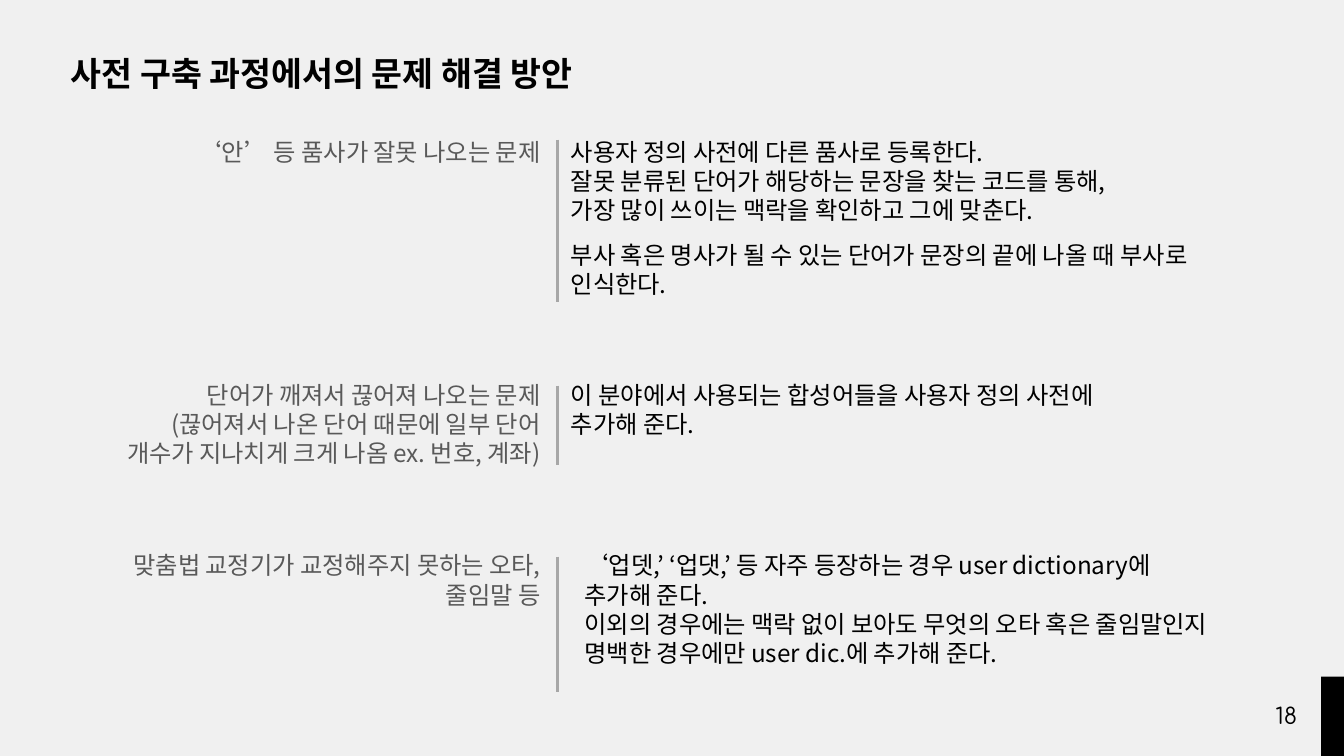
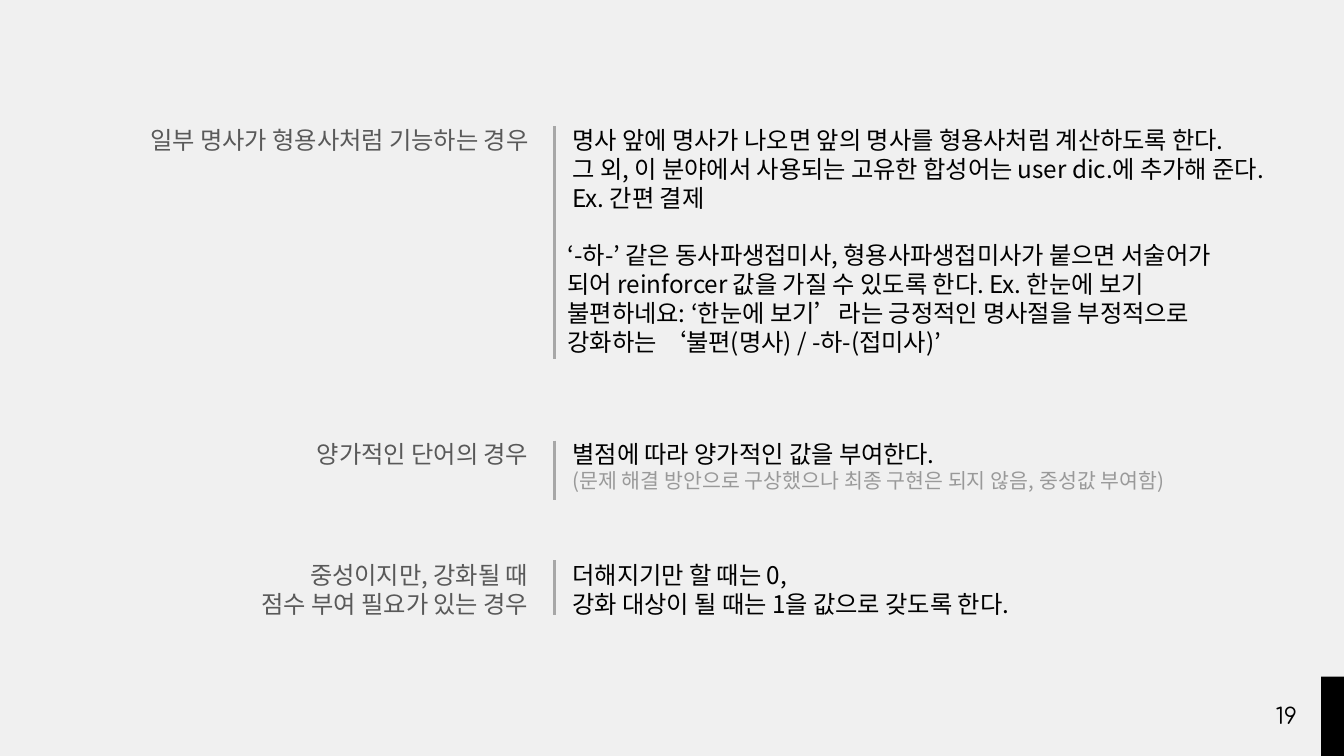
from lxml.etree import SubElement
from pptx import Presentation
from pptx.dml.color import RGBColor
from pptx.enum.shapes import MSO_CONNECTOR as Link, MSO_SHAPE as Shape
from pptx.enum.text import MSO_ANCHOR as Anchor, PP_ALIGN as Align
from pptx.oxml.ns import qn
from pptx.util import Cm, Pt

PAPER = RGBColor(0xF0, 0xF0, 0xF0)
BLACK = RGBColor(0, 0, 0)
GRAY = RGBColor(0x59, 0x59, 0x59)
PALE = RGBColor(0x99, 0x99, 0x99)
RULE = RGBColor(0xA7, 0xA7, 0xA7)
SANS = "Noto Sans CJK KR"
ROUND = "Comfortaa"
WIDE, HIGH = 25.4, 14.29
PAD = Cm(0.25)


def style(run, size, color, font, bold):
    run.font.size = Pt(size)
    run.font.bold = bold
    run.font.color.rgb = color
    run.font.name = font
    for tag in ("a:ea", "a:cs"):
        SubElement(run.font._element, qn(tag)).set("typeface", font)


def add_text(slide, text, left, top, width, height, size=13, color=BLACK,
             font=SANS, bold=False, align=Align.LEFT, anchor=Anchor.TOP):
    box = slide.shapes.add_textbox(Cm(left), Cm(top), Cm(width), Cm(height))
    frame = box.text_frame
    frame.word_wrap = True
    frame.vertical_anchor = anchor
    frame.margin_left = frame.margin_right = PAD
    frame.margin_top = frame.margin_bottom = PAD
    for i, line in enumerate(text.split("\n")):
        para = frame.paragraphs[0] if i == 0 else frame.add_paragraph()
        para.alignment = align
        run = para.add_run()
        run.text = line
        style(run, size, color, font, bold)
    return frame


def add_label(slide, text, right, top, height):
    width = 8.69
    add_text(slide, text, right - width, top, width, height,
             color=GRAY, align=Align.RIGHT)


def add_rule(slide, x, top, end):
    line = slide.shapes.add_connector(
        Link.STRAIGHT, Cm(x), Cm(top), Cm(x), Cm(end))
    line.line.color.rgb = RULE
    line.line.width = Pt(1.5)
    SubElement(line._element.spPr, qn("a:effectLst"))


def add_page(deck, number):
    slide = deck.slides.add_slide(deck.slide_layouts[6])
    fill = slide.background.fill
    fill.solid()
    fill.fore_color.rgb = PAPER
    width, height = 0.43, 1.5
    band = slide.shapes.add_shape(
        Shape.RECTANGLE, Cm(WIDE - width), Cm(HIGH - height),
        Cm(width), Cm(height))
    band.shadow.inherit = False
    band.fill.solid()
    band.fill.fore_color.rgb = BLACK
    band.line.fill.background()
    add_text(slide, str(number), 23.55, 12.98, 1.52, 1.09, size=12,
             font=ROUND, align=Align.CENTER, anchor=Anchor.MIDDLE)
    return slide


def build_fixes(deck):
    slide = add_page(deck, 18)
    add_text(slide, "사전 구축 과정에서의 문제 해결 방안",
             1.09, 0.76, 18.54, 1.27, size=18, bold=True)
    right, mid = 10.46, 10.54

    add_label(slide, "‘안’ 등 품사가 잘못 나오는 문제", right, 2.34, 1.07)
    frame = add_text(
        slide,
        "사용자 정의 사전에 다른 품사로 등록한다.\n"
        "잘못 분류된 단어가 해당하는 문장을 찾는 코드를 통해,\n"
        "가장 많이 쓰이는 맥락을 확인하고 그에 맞춘다.\n"
        "부사 혹은 명사가 될 수 있는 단어가 문장의 끝에 나올 때 "
        "부사로 인식한다.",
        mid, 2.34, 12.37, 3.58)
    frame.paragraphs[-1].space_before = Pt(8.5)
    add_rule(slide, mid, 2.64, 5.71)

    add_label(
        slide,
        "단어가 깨져서 끊어져 나오는 문제\n"
        "(끊어져서 나온 단어 때문에 일부 단어 개수가 지나치게 크게 나옴 "
        "ex. 번호, 계좌)",
        right, 6.93, 2.18)
    add_text(
        slide,
        "이 분야에서 사용되는 합성어들을 사용자 정의 사전에 추가해 준다.",
        mid, 6.93, 10.92, 1.63)
    add_rule(slide, mid, 7.29, 8.79)

    add_label(slide, "맞춤법 교정기가 교정해주지 못하는 오타, 줄임말 등",
              right, 10.16, 1.63)
    add_text(
        slide,
        "‘업뎃,’ ‘업댓,’ 등 자주 등장하는 경우 user dictionary에 "
        "추가해 준다.\n"
        "이외의 경우에는 맥락 없이 보아도 무엇의 오타 혹은 줄임말인지 "
        "명백한 경우에만 user dic.에 추가해 준다.",
        10.8, 10.16, 12.37, 2.74)
    add_rule(slide, mid, 10.52, 13.08)


def build_cases(deck):
    slide = add_page(deck, 19)
    right, mid, left = 10.23, 10.48, 10.57

    add_label(slide, "일부 명사가 형용사처럼 기능하는 경우", right, 2.11, 1.07)
    add_text(
        slide,
        "명사 앞에 명사가 나오면 앞의 명사를 형용사처럼 계산하도록 한다.\n"
        "그 외, 이 분야에서 사용되는 고유한 합성어는 user dic.에 "
        "추가해 준다. Ex. 간편 결제",
        left, 2.11, 13.69, 2.18)
    add_text(
        slide,
        "‘-하-’ 같은 동사파생접미사, 형용사파생접미사가 붙으면 서술어가 되어 "
        "reinforcer 값을 가질 수 있도록 한다. Ex. 한눈에 보기 불편하네요: "
        "‘한눈에 보기’라는 긍정적인 명사절을 부정적으로 강화하는 "
        "‘불편(명사) / -하-(접미사)’",
        mid, 4.29, 13.13, 2.74)
    add_rule(slide, mid, 2.39, 6.78)

    add_label(slide, "양가적인 단어의 경우", right, 8.05, 1.07)
    frame = add_text(
        slide,
        "별점에 따라 양가적인 값을 부여한다.\n"
        "(문제 해결 방안으로 구상했으나 최종 구현은 되지 않음, "
        "중성값 부여함)",
        left, 8.05, 14.25, 1.55)
    aside = frame.paragraphs[-1].runs[0].font
    aside.size = Pt(11)
    aside.color.rgb = PALE
    add_rule(slide, mid, 8.33, 9.45)

    add_label(slide, "중성이지만, 강화될 때\n점수 부여 필요가 있는 경우",
              right, 10.34, 1.63)
    add_text(
        slide,
        "더해지기만 할 때는 0,\n"
        "강화 대상이 될 때는 1을 값으로 갖도록 한다.",
        left, 10.34, 13.31, 1.63)
    add_rule(slide, mid, 10.59, 11.63)


def main():
    deck = Presentation()
    deck.slide_width = Cm(WIDE)
    deck.slide_height = Cm(HIGH)
    build_fixes(deck)
    build_cases(deck)
    deck.save("out.pptx")


if __name__ == "__main__":
    main()
